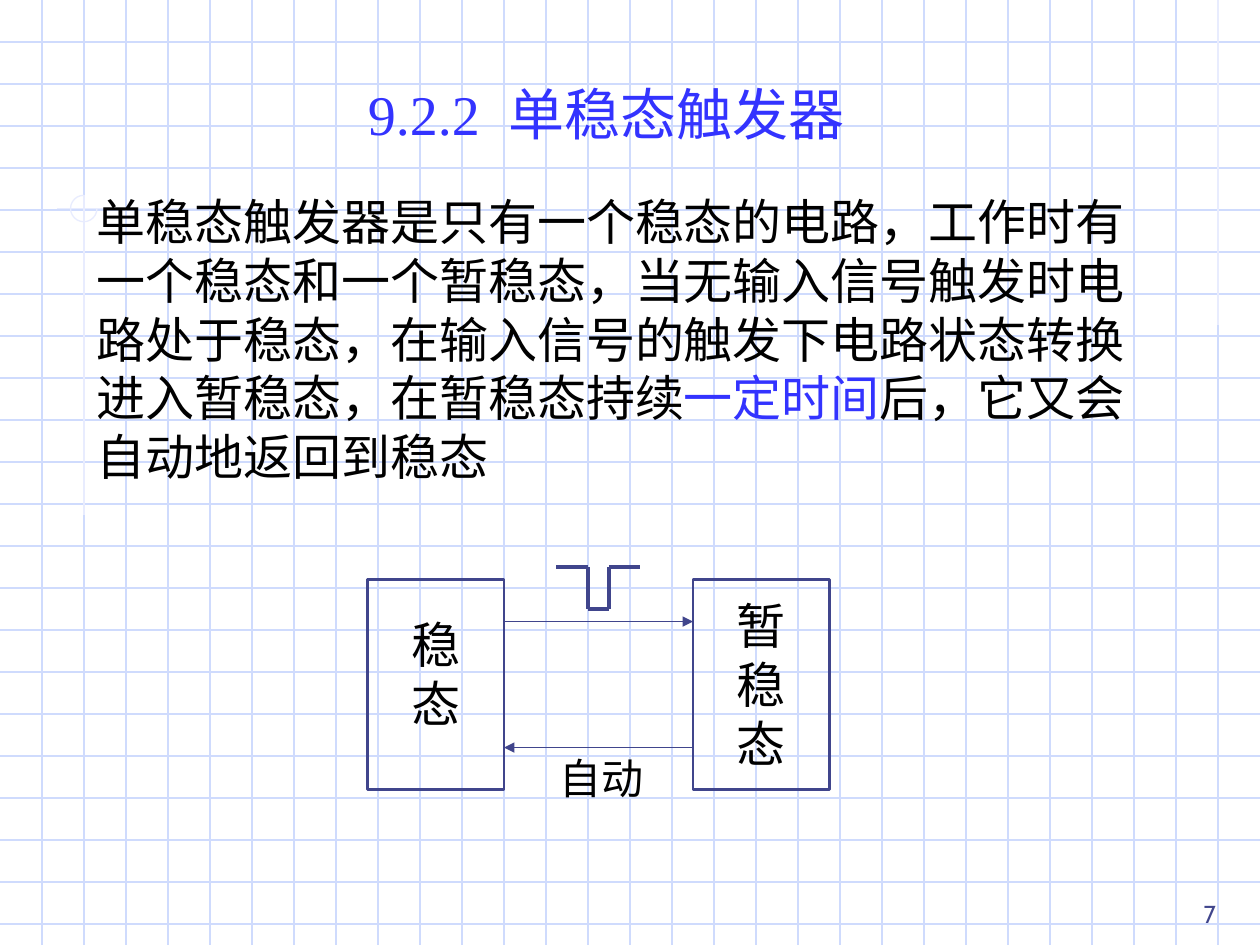
from lxml.etree import SubElement
from pptx import Presentation
from pptx.dml.color import RGBColor
from pptx.enum.shapes import MSO_CONNECTOR, MSO_SHAPE
from pptx.enum.text import MSO_ANCHOR, MSO_AUTO_SIZE, PP_ALIGN
from pptx.oxml.ns import qn
from pptx.util import Inches, Pt

CELL = Inches(1) / 3
COLUMNS, ROWS = 30, 22.5
GRID, ACCENT, INK, BLUE, BLACK = "CFDBFD", "E8ECFE", "40458C", "3333FF", "000000"


def draw_line(start, end, color, width, arrow=False):
    """Draw a line between two (column, row) points of the grid."""
    points = [round(value * CELL) for value in (*start, *end)]
    connector = slide.shapes.add_connector(MSO_CONNECTOR.STRAIGHT, *points)
    connector.line.color.rgb = RGBColor.from_string(color)
    connector.line.width = Pt(width)
    properties = connector._element.spPr
    SubElement(properties, qn("a:effectLst"))
    if arrow:
        SubElement(properties.find(qn("a:ln")), qn("a:tailEnd"), type="triangle")


def write_text(shape, paragraphs, size, font, wrap=False,
               align=PP_ALIGN.LEFT, anchor=MSO_ANCHOR.TOP):
    """Fill a shape with paragraphs, each a list of (text, color) runs."""
    frame = shape.text_frame
    settings = {"word_wrap": wrap, "auto_size": MSO_AUTO_SIZE.NONE, "vertical_anchor": anchor}
    for name, value in settings.items():
        setattr(frame, name, value)
    for index, runs in enumerate(paragraphs):
        paragraph = frame.add_paragraph() if index else frame.paragraphs[0]
        paragraph.alignment = align
        for text, color in runs:
            run = paragraph.add_run()
            run.text = text
            run.font.name, run.font.size = font, Pt(size)
            run.font.color.rgb = RGBColor.from_string(color)


presentation = Presentation()
presentation.slide_width, presentation.slide_height = Inches(10), Inches(7.5)
slide = presentation.slides.add_slide(presentation.slide_layouts[5])

# Squared paper
for row in range(1, 23):
    draw_line((0, row), (COLUMNS, row), GRID, 0.75)
for column in range(1, COLUMNS):
    draw_line((column, 0), (column, ROWS), GRID, 0.75)

# Pale accent lines and the open circle where two of them cross
for start, end in [((29, 0), (29, 7.75)), ((7.2, 4.97), (1.35, 4.97)), ((2, 4.65), (2, 12.27))]:
    draw_line(start, end, ACCENT, 0.75)
circle = slide.shapes.add_shape(MSO_SHAPE.ARC, Inches(0.56), Inches(1.55), Inches(0.21), Inches(0.21))
circle.shadow.inherit = False
circle.adjustments[0], circle.adjustments[1] = 0, 162  # 0 to 270 degrees
circle.fill.background()
circle.line.color.rgb = RGBColor.from_string(ACCENT)
circle.line.width = Pt(0.75)

# Title, brought in front of the squared paper
title = slide.shapes.title
slide.shapes._spTree.append(title._element)
title.left, title.top, title.width, title.height = map(Inches, (2.82, 0.58, 4.09, 0.64))
write_text(title, [[("9.2.2  单稳态触发器", BLUE)]], 32, "Times New Roman")

# Explanation
explanation = slide.shapes.add_textbox(*map(Inches, (0.67, 1.47, 8.67, 2.44)))
write_text(explanation, [[
    ("单稳态触发器是只有一个稳态的电路，工作时有一个稳态和一个暂稳态，"
     "当无输入信号触发时电路处于稳态，在输入信号的触发下电路状态转换进入暂稳态，"
     "在暂稳态持续", BLACK),
    ("一定时间", BLUE),
    ("后，它又会自动地返回到稳态", BLACK),
]], 28, "Cabin", wrap=True)

# State boxes, with one character to a line
for column, state, top, height in [(8.75, "稳态", 4.83, 1.04), (16.5, "暂稳态", 4.68, 1.5)]:
    left = round(column * CELL)
    box = slide.shapes.add_shape(MSO_SHAPE.RECTANGLE, left, round(13.8 * CELL),
                                 round(3.25 * CELL), round(5 * CELL))
    box.shadow.inherit = False
    box.fill.background()
    box.line.color.rgb = RGBColor.from_string(INK)
    box.line.width = Pt(1.5)
    label = slide.shapes.add_textbox(left + Inches(0.25), Inches(top), Inches(0.59), Inches(height))
    write_text(label, [[(character, BLACK)] for character in state], 28, "Cabin")

# Transitions between the states
draw_line((12, 14.8), (16.5, 14.8), INK, 0.75, arrow=True)
draw_line((16.5, 17.8), (12, 17.8), INK, 0.75, arrow=True)
automatic = slide.shapes.add_textbox(*map(Inches, (4.34, 5.92, 0.86, 0.5)))
write_text(automatic, [[("自动", BLACK)]], 24, "Times New Roman")

# Trigger pulse
pulse = [(13.25, 13.5), (14, 13.5), (14, 14.5), (14.5, 14.5), (14.5, 13.5), (15.25, 13.5)]
for start, end in zip(pulse, pulse[1:]):
    draw_line(start, end, INK, 2.25)

page_number = slide.shapes.add_textbox(*map(Inches, (7.67, 6.92, 2.08, 0.5)))
write_text(page_number, [[("7", INK)]], 14, "Cabin", wrap=True,
           align=PP_ALIGN.RIGHT, anchor=MSO_ANCHOR.BOTTOM)

presentation.save("out.pptx")
